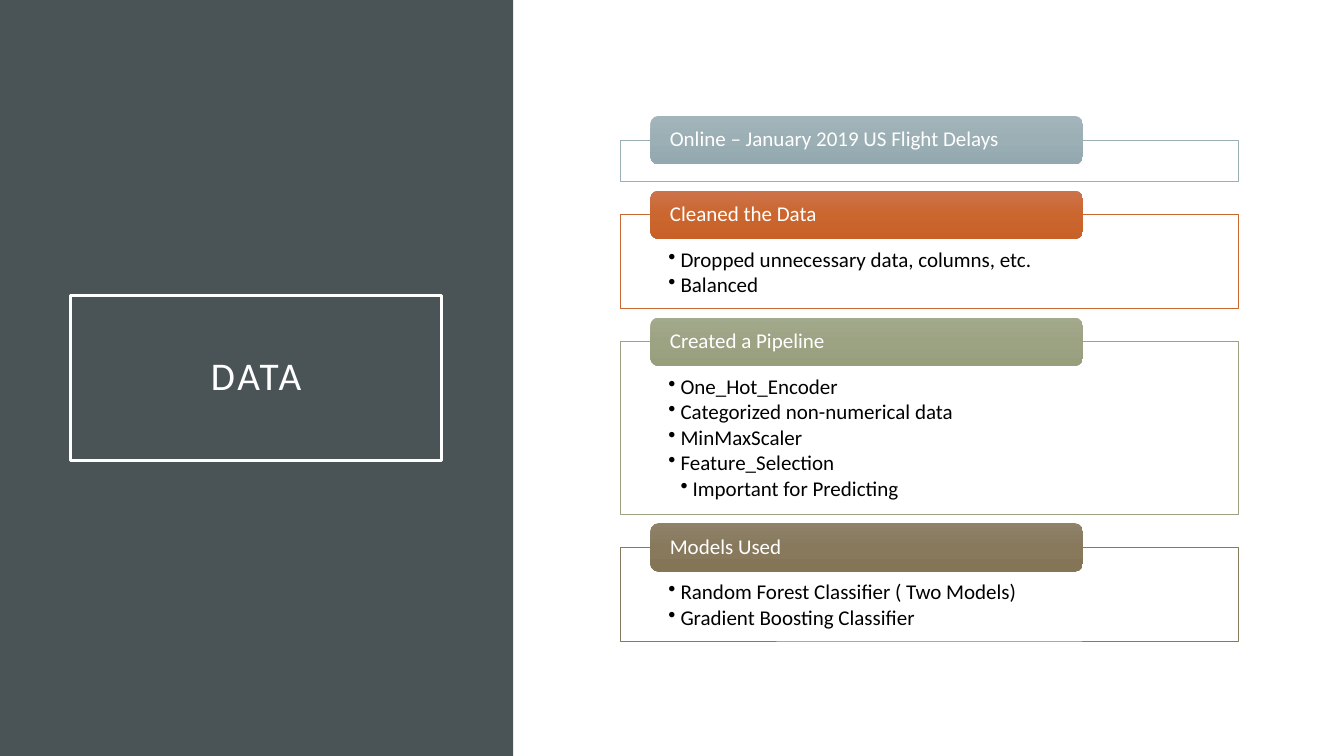
from pptx import Presentation
from pptx.dml.color import RGBColor
from pptx.enum.shapes import MSO_SHAPE
from pptx.enum.text import MSO_ANCHOR, PP_ALIGN
from pptx.oxml.ns import qn
from pptx.util import Pt
from lxml.etree import SubElement
from copy import deepcopy

PX = 9144
FONT = "Calibri"
WHITE = RGBColor(0xFF, 0xFF, 0xFF)
BLACK = RGBColor(0x00, 0x00, 0x00)
SLATE = RGBColor(0x4A, 0x53, 0x56)
BLUE_EDGE = RGBColor(0x9B, 0xAF, 0xB5)
BLUE = [RGBColor(0xA3, 0xB5, 0xBB), BLUE_EDGE, RGBColor(0x93, 0xA9, 0xAF)]
ORANGE_EDGE = RGBColor(0xC9, 0x67, 0x31)
ORANGE = [RGBColor(0xCC, 0x73, 0x4B), RGBColor(0xCB, 0x66, 0x2F), RGBColor(0xC8, 0x61, 0x28)]
GREEN_EDGE = RGBColor(0x9C, 0xA3, 0x83)
GREEN = [RGBColor(0xA3, 0xA9, 0x8C), GREEN_EDGE, RGBColor(0x97, 0x9E, 0x7C)]
BROWN_EDGE = RGBColor(0x87, 0x79, 0x5D)
BROWN = [RGBColor(0x8F, 0x82, 0x69), RGBColor(0x88, 0x79, 0x5C), RGBColor(0x84, 0x75, 0x57)]

FIRST_TOP, GAP, TAG_RISE = 139, 33, 24
SECTIONS = [
    ("Online – January 2019 US Flight Delays", 41, BLUE_EDGE, BLUE, []),
    ("Cleaned the Data", 93, ORANGE_EDGE, ORANGE,
     [("Dropped unnecessary data, columns, etc.", 1), ("Balanced", 1)]),
    ("Created a Pipeline", 171, GREEN_EDGE, GREEN,
     [("One_Hot_Encoder", 1), ("Categorized non-numerical data", 1), ("MinMaxScaler", 1),
      ("Feature_Selection", 1), ("Important for Predicting", 2)]),
    ("Models Used", 93, BROWN_EDGE, BROWN,
     [("Random Forest Classifier ( Two Models)", 1), ("Gradient Boosting Classifier", 1)]),
]


def add_box(slide, preset, left, top, width, height, fill=None, edge=None, weight=0.5):
    """Add a preset shape without shadow, with an optional fill and edge."""
    box = slide.shapes.add_shape(preset, left * PX, top * PX, width * PX, height * PX)
    box.shadow.inherit = False
    if fill is None:
        box.fill.background()
    else:
        box.fill.solid()
        box.fill.fore_color.rgb = fill
    if edge is None:
        box.line.fill.background()
    else:
        box.line.color.rgb = edge
        box.line.width = Pt(weight)
    return box


def set_frame(box, insets, anchor):
    """Set the wrapping, insets and anchor of a shape's text."""
    frame = box.text_frame
    frame.word_wrap = True
    frame.vertical_anchor = anchor
    frame.margin_left, frame.margin_top, frame.margin_right, frame.margin_bottom = (
        inset * PX for inset in insets)
    return frame


def add_run(paragraph, text, size, color, align=PP_ALIGN.LEFT):
    """Add one styled run to a paragraph and return it."""
    paragraph.alignment = align
    paragraph.line_spacing = 0.9
    run = paragraph.add_run()
    run.text = text
    run.font.size = Pt(size)
    run.font.name = FONT
    run.font.color.rgb = color
    return run


def set_bullet(paragraph, level):
    """Give a paragraph a round bullet with a hanging indent for its level."""
    paragraph.level = level
    paragraph.space_after = Pt(2)
    properties = paragraph._p.get_or_add_pPr()
    properties.set("marL", str(level * 12 * PX))
    properties.set("indent", str(-12 * PX))
    SubElement(properties, qn("a:buChar")).set("char", "•")


def set_gradient(box, colors):
    """Fill a shape from top to bottom with evenly spaced colours."""
    box.fill.gradient()
    box.fill.gradient_angle = 270
    stop_list = box._element.spPr.find(qn("a:gradFill")).find(qn("a:gsLst"))
    stop_list.append(deepcopy(stop_list[0]))
    for index, (stop, color) in enumerate(zip(box.fill.gradient_stops, colors)):
        stop.position = index / (len(colors) - 1)
        stop.color.rgb = color


def add_title(slide, text):
    """Add the dark side panel with its outlined title."""
    add_box(slide, MSO_SHAPE.RECTANGLE, 0, 0, 509, 750, SLATE)
    title = add_box(slide, MSO_SHAPE.RECTANGLE, 70, 293, 368, 164, edge=WHITE, weight=2.5)
    frame = set_frame(title, (20, 20, 20, 20), MSO_ANCHOR.MIDDLE)
    run = add_run(frame.paragraphs[0], text, 28, WHITE, PP_ALIGN.CENTER)
    run.font._element.set("spc", "200")


def add_section(slide, top, heading, height, edge, shades, points):
    """Add an outlined list with a coloured heading tag over its top edge."""
    panel = add_box(slide, MSO_SHAPE.RECTANGLE, 615, top, 613, height, WHITE, edge)
    frame = set_frame(panel, (48, 34, 48, 12), MSO_ANCHOR.TOP)
    for index, (point, level) in enumerate(points):
        paragraph = frame.add_paragraph() if index else frame.paragraphs[0]
        add_run(paragraph, point, 15, BLACK)
        set_bullet(paragraph, level)
    tag = add_box(slide, MSO_SHAPE.ROUNDED_RECTANGLE, 645, top - TAG_RISE, 429, 48)
    set_gradient(tag, shades)
    tag_frame = set_frame(tag, (17, 0, 17, 0), MSO_ANCHOR.MIDDLE)
    add_run(tag_frame.paragraphs[0], heading, 15, WHITE)


def main():
    """Build the data slide and save it."""
    deck = Presentation()
    deck.slide_width, deck.slide_height = 1333 * PX, 750 * PX
    slide = deck.slides.add_slide(deck.slide_layouts[6])
    add_title(slide, "DATA")
    top = FIRST_TOP
    for heading, height, edge, shades, points in SECTIONS:
        add_section(slide, top, heading, height, edge, shades, points)
        top += height + GAP
    deck.save("out.pptx")


if __name__ == "__main__":
    main()
